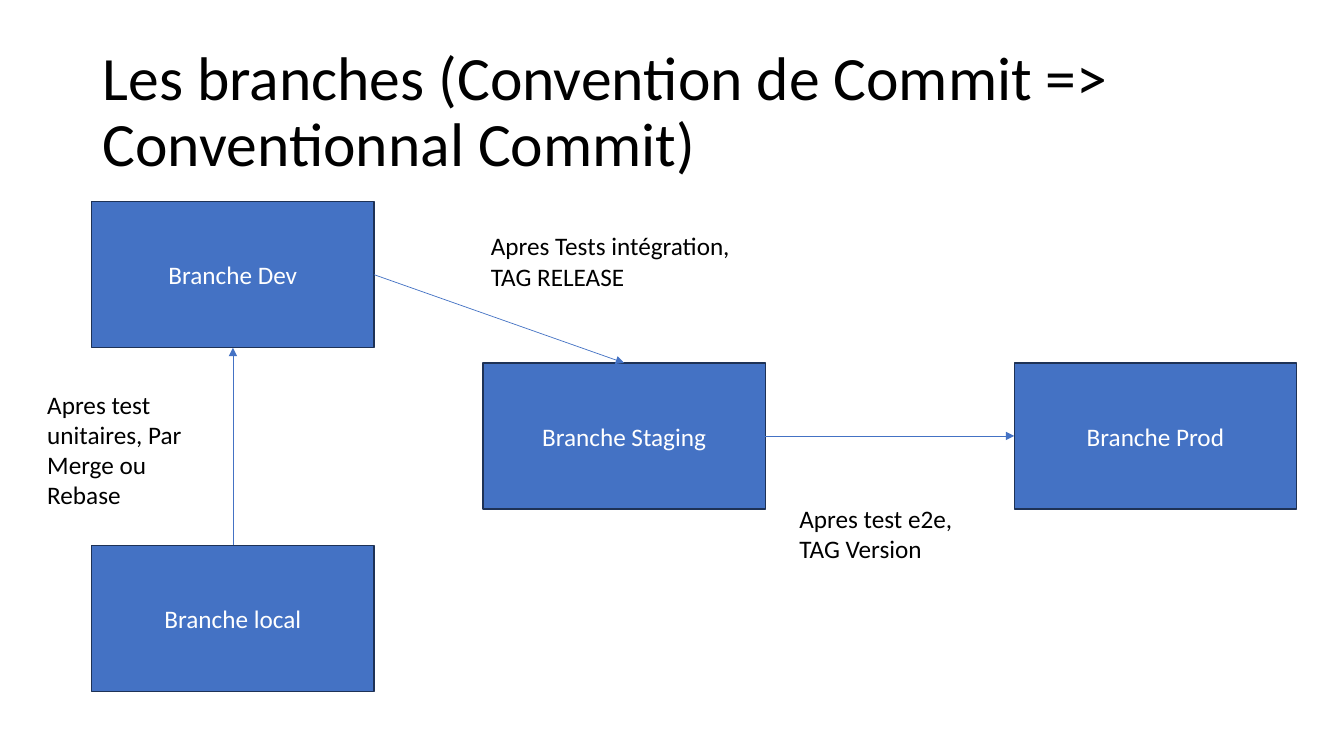
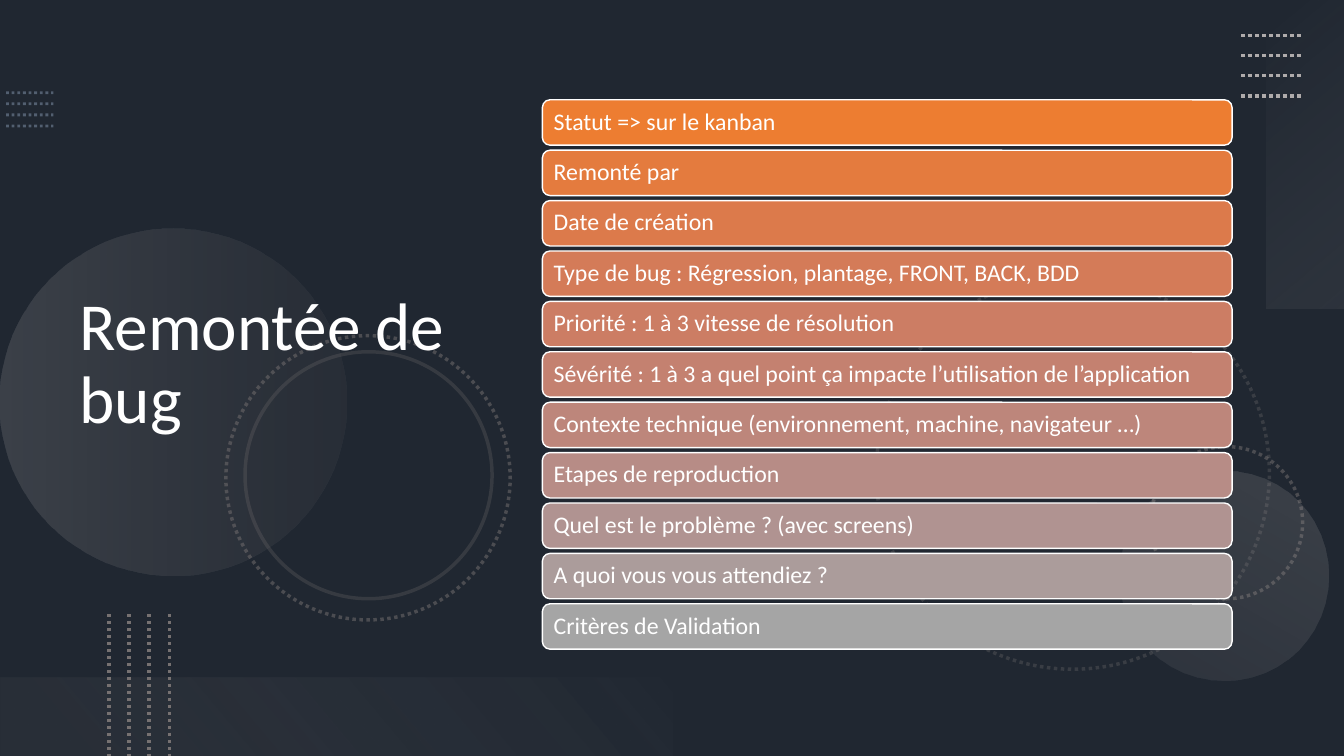
from colorsys import hls_to_rgb, rgb_to_hls
from dataclasses import dataclass

from pptx import Presentation
from pptx.dml.color import RGBColor
from pptx.enum.dml import MSO_LINE
from pptx.enum.shapes import MSO_CONNECTOR, MSO_SHAPE
from pptx.enum.text import MSO_ANCHOR, PP_ALIGN
from pptx.oxml.ns import qn
from pptx.oxml.xmlchemy import OxmlElement
from pptx.util import Inches, Pt

TOP, LEFT, BOTTOM, RIGHT = range(4)


@dataclass(frozen=True)
class Theme:
    font: str = "Calibri"
    white: str = "FFFFFF"
    black: str = "000000"
    blue: str = "4472C4"
    blue_edge: str = "1E3256"
    slate: str = "44546A"
    blue_gray: str = "8497B0"
    gray: str = "767171"
    light_gray: str = "AFABAB"
    pale_gray: str = "F5F5F5"
    row_first: str = "ED7D31"
    row_last: str = "A5A5A5"
    title_size: float = 44
    big_title_size: float = 48
    body_size: float = 18
    row_size: float = 17
    line_spacing: float = 0.9


def blend(start, end, share):
    """Mix two colours along hue, lightness and saturation."""
    first, last = (rgb_to_hls(*(channel / 255 for channel in RGBColor.from_string(color)))
                   for color in (start, end))
    mixed = hls_to_rgb(*(a + (b - a) * share for a, b in zip(first, last)))
    return str(RGBColor(*(round(channel * 255) for channel in mixed)))


def set_opacity(element, *percents):
    """Give the colours inside an element their opacity, in order."""
    for color, percent in zip(element.iter(qn("a:srgbClr")), percents):
        alpha = OxmlElement("a:alpha")
        alpha.set("val", str(percent * 1000))
        color.append(alpha)


class Deck:
    def __init__(self, theme):
        self.theme = theme
        self.presentation = Presentation()
        self.presentation.slide_width = Inches(13.33)
        self.presentation.slide_height = Inches(7.5)
        self.slide = None

    def new_slide(self, background):
        self.slide = self.presentation.slides.add_slide(self.presentation.slide_layouts[6])
        fill = self.slide.background.fill
        fill.solid()
        fill.fore_color.rgb = RGBColor.from_string(background)

    def set_text(self, shape, text, size, color, align=PP_ALIGN.LEFT,
                 anchor=MSO_ANCHOR.MIDDLE, spacing=None):
        frame = shape.text_frame
        frame.word_wrap = True
        frame.vertical_anchor = anchor
        frame.text = text
        for paragraph in frame.paragraphs:
            paragraph.alignment = align
            paragraph.line_spacing = spacing
            paragraph.font.name = self.theme.font
            paragraph.font.size = Pt(size)
            paragraph.font.color.rgb = RGBColor.from_string(color)

    def text_box(self, box):
        return self.slide.shapes.add_textbox(*map(Inches, box))

    def title(self, text, box, size, color):
        self.set_text(self.text_box(box), text, size, color, spacing=self.theme.line_spacing)

    def label(self, text, box):
        self.set_text(self.text_box(box), text, self.theme.body_size, self.theme.black,
                      anchor=MSO_ANCHOR.TOP)

    def shape(self, kind, box, fill=None, edge=None, width=1, dash=None, rotation=0):
        shape = self.slide.shapes.add_shape(kind, *map(Inches, box))
        shape.shadow.inherit = False
        shape.rotation = rotation
        if fill:
            shape.fill.solid()
            shape.fill.fore_color.rgb = RGBColor.from_string(fill)
        else:
            shape.fill.background()
        if edge:
            self.stroke(shape.line, edge, width, dash)
        else:
            shape.line.fill.background()
        return shape

    def stroke(self, line, color, width, dash=None):
        line.color.rgb = RGBColor.from_string(color)
        line.width = Pt(width)
        if dash:
            line.dash_style = dash

    def branch(self, name, left, top):
        shape = self.shape(MSO_SHAPE.RECTANGLE, (left, top, 2.8, 1.45),
                           self.theme.blue, self.theme.blue_edge)
        self.set_text(shape, name, self.theme.body_size, self.theme.white, PP_ALIGN.CENTER)
        return shape

    def connector(self, start, end, color, width, dash=None):
        connector = self.slide.shapes.add_connector(
            MSO_CONNECTOR.STRAIGHT, *map(Inches, (*start, *end)))
        self.stroke(connector.line, color, width, dash)
        connector._element.spPr.append(OxmlElement("a:effectLst"))
        return connector

    def arrow(self, source, source_side, target, target_side):
        connector = self.connector((0, 0), (1, 1), self.theme.blue, 0.5)
        connector.begin_connect(source, source_side)
        connector.end_connect(target, target_side)
        head = OxmlElement("a:tailEnd")
        head.set("type", "triangle")
        connector._element.spPr.find(qn("a:ln")).append(head)

    def dotted_lines(self, start, end, step, color, width=2.5, opacity=100):
        """Draw four parallel dotted lines, each moved on by step."""
        for index in range(4):
            points = [(x + index * step[0], y + index * step[1]) for x, y in (start, end)]
            connector = self.connector(*points, color, width, MSO_LINE.ROUND_DOT)
            set_opacity(connector._element.spPr, opacity)

    def ring(self, left, top, size, opacity, dash=MSO_LINE.ROUND_DOT, rotation=75):
        shape = self.shape(MSO_SHAPE.OVAL, (left, top, size, size), edge=self.theme.gray,
                           dash=dash, width=2.5, rotation=rotation)
        set_opacity(shape._element.spPr, opacity)

    def glow(self, kind, box, rotation, angle, stops):
        """Draw a faint gradient; each stop is position, colour, opacity."""
        shape = self.shape(kind, box, rotation=rotation)
        shape.fill.gradient()
        shape.fill.gradient_angle = 360 - angle
        for stop, (position, color, _) in zip(shape.fill.gradient_stops, stops):
            stop.position = position
            stop.color.rgb = RGBColor.from_string(color)
        set_opacity(shape._element.spPr, *(opacity for _, _, opacity in stops))

    def row(self, text, top, fill):
        shape = self.shape(MSO_SHAPE.ROUNDED_RECTANGLE, (5.38, top, 6.84, 0.45),
                           fill, self.theme.white)
        self.set_text(shape, text, self.theme.row_size, self.theme.white,
                      spacing=self.theme.line_spacing)
        shape.text_frame.margin_left = shape.text_frame.margin_right = Inches(0.09)


def add_branches(deck):
    theme = deck.theme
    deck.new_slide(theme.white)
    deck.title("Les branches (Convention de Commit => Conventionnal Commit)",
               (0.92, 0.4, 11.5, 1.45), theme.title_size, theme.black)

    # Branches
    local = deck.branch("Branche local", 0.91, 5.41)
    dev = deck.branch("Branche Dev", 0.91, 2)
    staging = deck.branch("Branche Staging", 4.79, 3.6)
    prod = deck.branch("Branche Prod", 10.06, 3.6)

    # Promotions and their conditions
    deck.arrow(local, TOP, dev, BOTTOM)
    deck.arrow(dev, RIGHT, staging, TOP)
    deck.arrow(staging, RIGHT, prod, LEFT)
    deck.label("Apres test unitaires, Par Merge ou Rebase", (0.37, 3.81, 1.79, 1.31))
    deck.label("Apres Tests intégration,\nTAG RELEASE", (4.77, 2.24, 3.38, 0.71))
    deck.label("Apres test e2e,\nTAG Version", (7.83, 4.94, 2.07, 0.71))


def add_bug_report(deck):
    theme = deck.theme
    deck.new_slide(theme.slate)
    veil = deck.shape(MSO_SHAPE.RECTANGLE, (0, 0, 13.33, 7.5), theme.black)
    set_opacity(veil._element.spPr, 53)

    # Circles and rings
    deck.dotted_lines((0.06, 0.92), (0.53, 0.92), (0, 0.11), theme.blue_gray, 2, 50)
    deck.ring(8.69, 2.74, 3.9, 30)
    deck.ring(11.41, 4.43, 1.51, 50, rotation=270)
    deck.glow(MSO_SHAPE.OVAL, (0, 2.27, 3.44, 3.44), 270, 90,
              [(0, theme.light_gray, 20), (1, theme.gray, 10)])
    deck.glow(MSO_SHAPE.OVAL, (11.1, 4.67, 2.08, 2.08), 210, 90,
              [(0, theme.light_gray, 10), (1, theme.light_gray, 20)])
    deck.ring(2.24, 3.33, 2.82, 50)
    deck.ring(2.43, 3.49, 2.45, 25, dash=None)

    # Edge bands and dotted lines
    deck.glow(MSO_SHAPE.RECTANGLE, (11.42, 1.14, 3.06, 0.78), 270, 140,
              [(0, theme.pale_gray, 0), (1, theme.light_gray, 10)])
    deck.dotted_lines((12.31, 0.35), (12.91, 0.35), (0, 0.2), theme.light_gray)
    deck.glow(MSO_SHAPE.RECTANGLE, (0, 6.72, 6.67, 0.78), 180, 140,
              [(0.1, theme.gray, 10), (1, theme.pale_gray, 0)])
    deck.dotted_lines((1.08, 6.09), (1.08, 7.5), (0.2, 0), theme.gray)

    # Title and fields of the report
    deck.title("Remontée de bug", (0.69, 0.54, 4.59, 6.17), theme.big_title_size, theme.white)
    fields = [
        "Statut => sur le kanban",
        "Remonté par",
        "Date de création",
        "Type de bug : Régression, plantage, FRONT, BACK, BDD",
        "Priorité : 1 à 3 vitesse de résolution",
        "Sévérité : 1 à 3 a quel point ça impacte l’utilisation de l’application",
        "Contexte technique (environnement, machine, navigateur …)",
        "Etapes de reproduction",
        "Quel est le problème ? (avec screens)",
        "A quoi vous vous attendiez ?",
        "Critères de Validation",
    ]
    for index, field in enumerate(fields):
        share = index / (len(fields) - 1)
        deck.row(field, 0.99 + 0.5 * index, blend(theme.row_first, theme.row_last, share))


def main():
    deck = Deck(Theme())
    add_branches(deck)
    add_bug_report(deck)
    deck.presentation.save("out.pptx")


if __name__ == "__main__":
    main()
